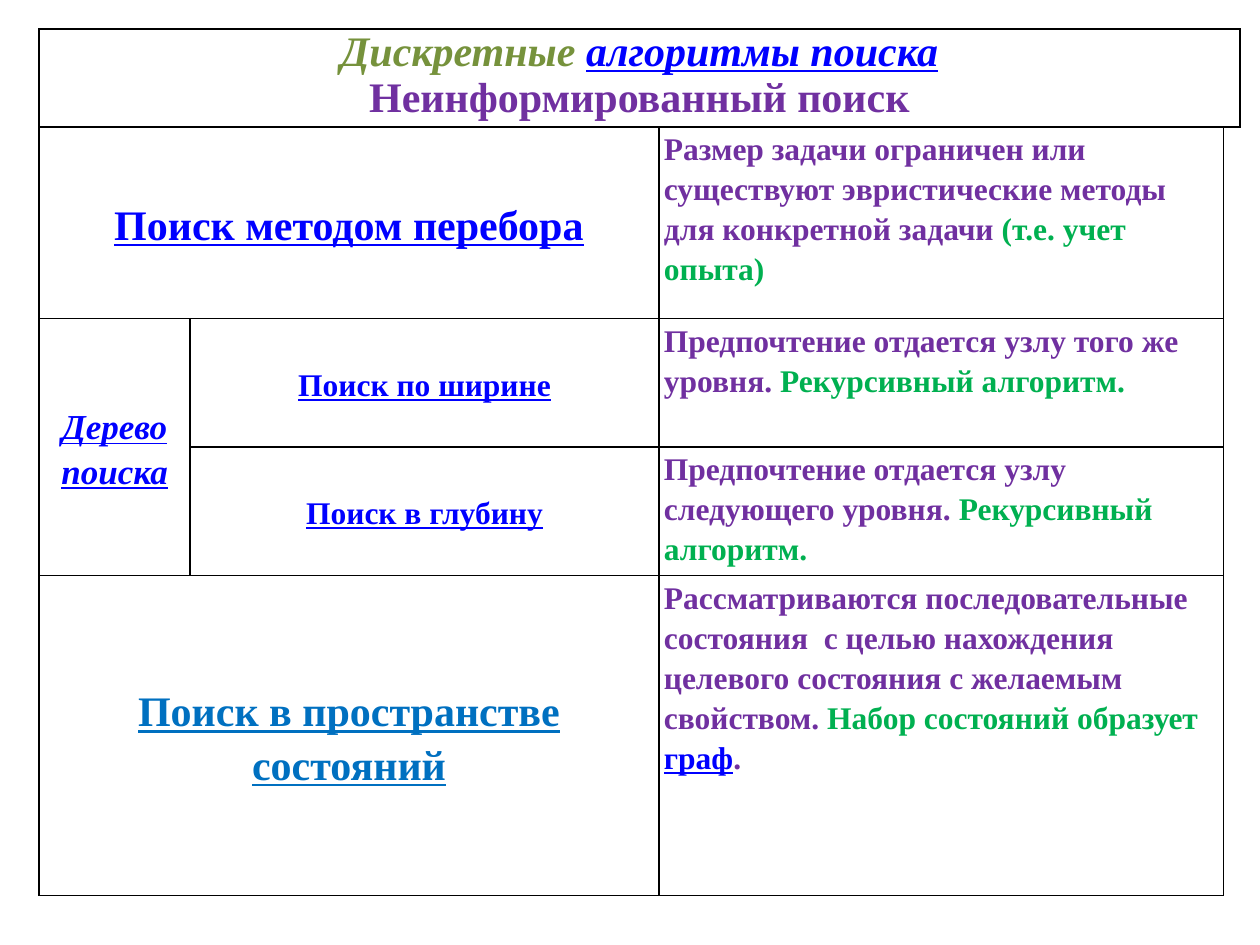
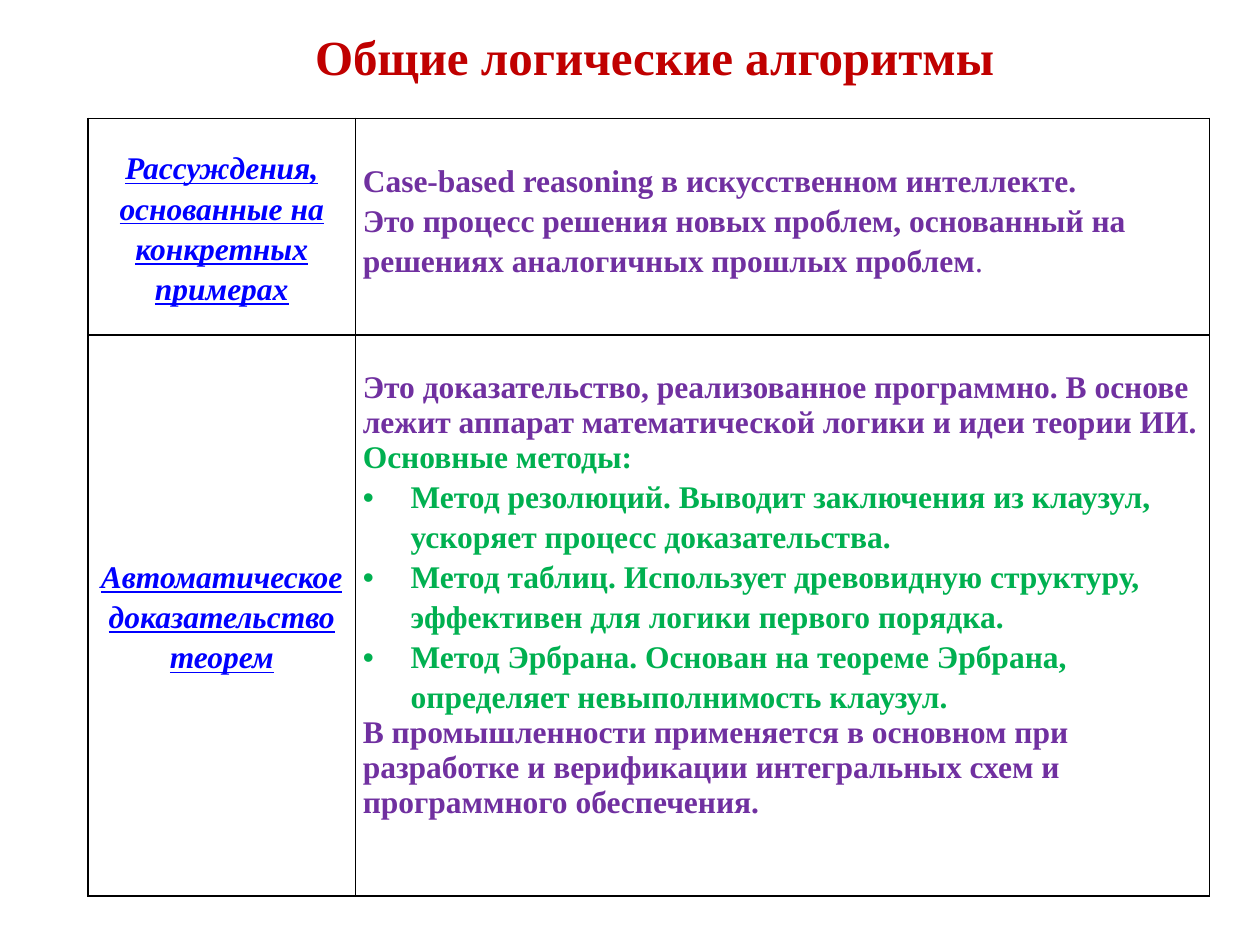
from lxml import etree
from pptx import Presentation
from pptx import util as u
from pptx.dml import color
from pptx.enum import text
from pptx.oxml import ns

FONT = "Times New Roman"
BLACK, WHITE = "000000", "FFFFFF"
PURPLE, GREEN, LINK, BLUE = "7030A0", "00B050", "0000FF", "0070C0"
OLIVE, RED = "76923C", "C00000"
CENTER, LEFT = text.PP_ALIGN.CENTER, text.PP_ALIGN.LEFT
LOOSE = 1.15  # line spacing of most cell paragraphs


def rgb(value):
    return color.RGBColor.from_string(value)


def sub(parent, tag, **attributes):
    return etree.SubElement(parent, ns.qn(tag), attributes)


# Text
def run(words, hue, size=18, bold=True, italic=False, underline=False):
    return words, hue, size, bold, italic, underline


def link(words, size=18, hue=LINK, italic=False):
    return run(words, hue, size, italic=italic, underline=True)


def add_bullet(paragraph):
    properties = paragraph._p.get_or_add_pPr()
    properties.set("marL", str(u.Inches(0.38)))
    properties.set("indent", str(-u.Inches(0.38)))
    sub(properties, "a:buFont", typeface="Arial")
    sub(properties, "a:buChar", char="•")
    tabs = sub(properties, "a:tabLst")
    sub(tabs, "a:tab", pos=str(u.Inches(0.5)), algn="l")


def write(frame, paragraphs, align=LEFT):
    """Each paragraph is (runs, line spacing, space after, bulleted)."""
    for index, (runs, spacing, after, bulleted) in enumerate(paragraphs):
        paragraph = frame.paragraphs[0] if index == 0 else frame.add_paragraph()
        paragraph.alignment = align
        paragraph.line_spacing = spacing
        paragraph.space_before = u.Pt(0)
        paragraph.space_after = u.Pt(after)
        if bulleted:
            add_bullet(paragraph)
        for words, hue, size, bold, italic, underline in runs:
            part = paragraph.add_run()
            part.text = words
            font = part.font
            font.name, font.size = FONT, u.Pt(size)
            font.bold, font.italic, font.underline = bold, italic, underline
            font.color.rgb = rgb(hue)


def line(*runs, spacing=LOOSE, after=0, bulleted=False):
    return runs, spacing, after, bulleted


# Tables
def set_borders(cell, sides="LRTB"):
    properties = cell._tc.get_or_add_tcPr()
    for side in "LRTB":
        border = sub(properties, "a:ln" + side, w=str(u.Pt(1)))
        if side in sides:
            sub(sub(border, "a:solidFill"), "a:srgbClr", val=BLACK)
        else:
            sub(border, "a:noFill")


def add_grid(slide, left, top, widths, heights, margin, open_cells=()):
    """Ruled white table; open_cells maps (row, column) to the sides drawn."""
    open_cells = dict(open_cells)
    frame = slide.shapes.add_table(
        len(heights), len(widths), u.Inches(left), u.Inches(top),
        u.Inches(sum(widths)), u.Inches(sum(heights)))
    table = frame.table
    table.first_row = table.horz_banding = False
    for column, width in zip(table.columns, widths):
        column.width = u.Inches(width)
    for row_index, (row, height) in enumerate(zip(table.rows, heights)):
        row.height = u.Inches(height)
        for column_index, cell in enumerate(row.cells):
            cell.margin_left = cell.margin_right = u.Inches(margin)
            cell.margin_top = cell.margin_bottom = 0
            set_borders(cell, open_cells.get((row_index, column_index), "LRTB"))
            cell.fill.solid()
            cell.fill.fore_color.rgb = rgb(WHITE)
    return table


def label_cell(cell, words):
    cell.vertical_anchor = text.MSO_ANCHOR.MIDDLE
    write(cell.text_frame, [line(words, after=10)], CENTER)


def note_cell(cell, paragraphs, top=0):
    cell.margin_top = u.Inches(top)
    write(cell.text_frame, paragraphs)


# Slides
def add_search_slide(presentation):
    slide = presentation.slides.add_slide(presentation.slide_layouts[6])
    open_cells = {(row, 3): "LT" if row == 1 else "L" for row in range(1, 5)}
    table = add_grid(slide, 0.31, 0.23, [1.2, 3.72, 4.48, 0.13],
                     [0.78, 1.52, 1.02, 1.02, 2.54], 0.04, open_cells)
    for first, last in [((0, 0), (0, 3)), ((1, 0), (1, 1)),
                        ((2, 0), (3, 0)), ((4, 0), (4, 1))]:
        table.cell(*first).merge(table.cell(*last))

    write(table.cell(0, 0).text_frame, [
        line(run("Дискретные ", OLIVE, 24, italic=True),
             link("алгоритмы поиска", 24, italic=True), spacing=1.0),
        line(run("Неинформированный поиск", PURPLE, 24), spacing=1.0),
    ], CENTER)

    labels = {
        (1, 0): link("Поиск методом перебора", 24),
        (2, 0): link("Дерево поиска", 20, italic=True),
        (2, 1): link("Поиск по ширине"),
        (3, 1): link("Поиск в глубину"),
        (4, 0): link("Поиск в пространстве состояний", 24, BLUE),
    }
    for place, words in labels.items():
        label_cell(table.cell(*place), words)

    recursive = run("Рекурсивный алгоритм.", GREEN)
    notes = [
        (run("Размер задачи ограничен или существуют эвристические методы "
             "для конкретной задачи ", PURPLE),
         run("(т.е. учет опыта)", GREEN)),
        (run("Предпочтение отдается узлу того же уровня. ", PURPLE), recursive),
        (run("Предпочтение отдается узлу следующего уровня. ", PURPLE), recursive),
        (run("Рассматриваются последовательные состояния  с целью нахождения "
             "целевого состояния с желаемым свойством. ", PURPLE),
         run("Набор состояний образует ", GREEN),
         link("граф"), run(".", PURPLE)),
    ]
    for row, runs in enumerate(notes, start=1):
        note_cell(table.cell(row, 2), [line(*runs, after=10)])


def add_logic_slide(presentation):
    slide = presentation.slides.add_slide(presentation.slide_layouts[5])
    title = slide.shapes.title
    title.left, title.top = u.Inches(0.86), u.Inches(0.16)
    title.width, title.height = u.Inches(8.67), u.Inches(0.57)
    title.text_frame.vertical_anchor = text.MSO_ANCHOR.TOP
    title.text_frame.auto_size = text.MSO_AUTO_SIZE.NONE
    write(title.text_frame, [
        line(run("Общие логические алгоритмы", RED, 28), spacing=1.0)], CENTER)

    table = add_grid(slide, 0.7, 0.94, [2.12, 6.78], [1.72, 4.45], 0.06)
    for row, words in enumerate(["Рассуждения, основанные на конкретных примерах",
                                 "Автоматическое доказательство теорем"]):
        label_cell(table.cell(row, 0), link(words, italic=True))

    note_cell(table.cell(0, 1), [
        line(run("Сase-based reasoning в искусственном интеллекте.", PURPLE)),
        line(run("Это процесс решения новых проблем, основанный на решениях "
                 "аналогичных прошлых проблем", PURPLE),
             run(".", PURPLE, bold=False)),
    ], top=0.32)

    methods = [
        "Метод резолюций. Выводит заключения из клаузул, ускоряет процесс "
        "доказательства.",
        "Метод таблиц. Использует древовидную структуру, эффективен для логики "
        "первого порядка.",
        "Метод Эрбрана. Основан на теореме Эрбрана, определяет невыполнимость "
        "клаузул.",
    ]
    note_cell(table.cell(1, 1), [
        line(run("Это доказательство, реализованное программно. В основе лежит "
                 "аппарат математической логики и идеи теории ИИ.", PURPLE),
             spacing=1.0),
        line(run("Основные методы:", GREEN), spacing=1.0),
        *[line(run(method, GREEN), bulleted=True) for method in methods],
        line(run("В промышленности применяется в основном при разработке и "
                 "верификации интегральных схем и программного обеспечения.",
                 PURPLE), spacing=1.0),
    ], top=0.28)


def main():
    presentation = Presentation()
    presentation.slide_width = u.Inches(10)
    presentation.slide_height = u.Inches(7.5)
    add_search_slide(presentation)
    add_logic_slide(presentation)
    presentation.save("out.pptx")


if __name__ == "__main__":
    main()
